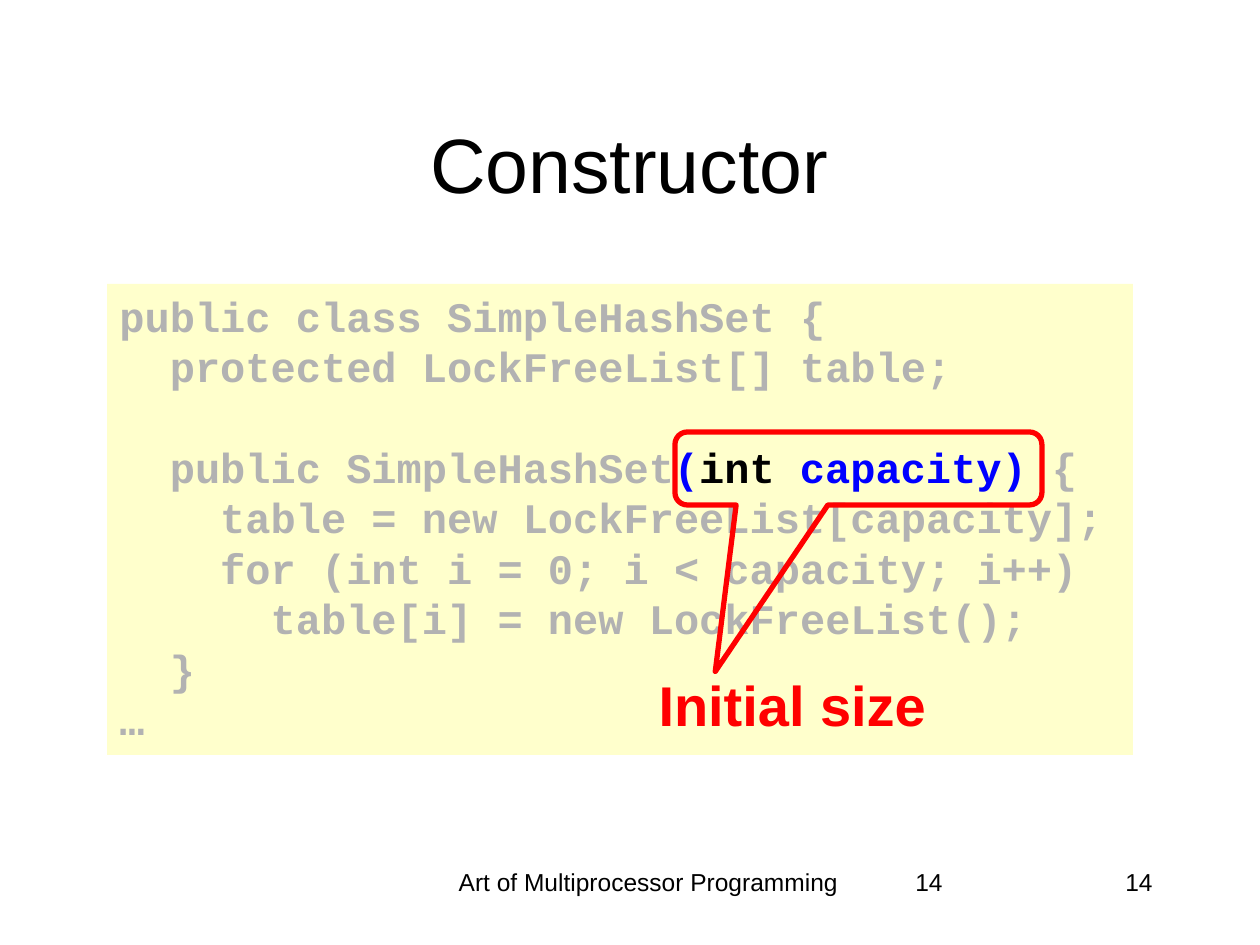
import pptx
import pptx.dml.color
import pptx.enum.shapes
import pptx.enum.text
import pptx.util

EMU_PER_PX = 914400 / 126
BLACK = pptx.dml.color.RGBColor(0x00, 0x00, 0x00)
GREY = pptx.dml.color.RGBColor(0xB2, 0xB2, 0xB2)
BLUE = pptx.dml.color.RGBColor(0x00, 0x00, 0xFF)
RED = pptx.dml.color.RGBColor(0xFF, 0x00, 0x00)
CREAM = pptx.dml.color.RGBColor(0xFF, 0xFF, 0xCC)
ALIGN = pptx.enum.text.PP_ALIGN
ANCHOR = pptx.enum.text.MSO_ANCHOR
SHAPE = pptx.enum.shapes.MSO_SHAPE


def px(*lengths):
    """Turn pixel lengths into a list of EMU lengths."""
    return [pptx.util.Emu(round(length * EMU_PER_PX)) for length in lengths]


def add_run(paragraph, text, size, color, font_name="Arial", bold=False):
    run = paragraph.add_run()
    run.text = text
    run.font.name = font_name
    run.font.size = pptx.util.Pt(size)
    run.font.bold = bold
    run.font.color.rgb = color


presentation = pptx.Presentation()
presentation.slide_width, presentation.slide_height = px(1260, 945)
slide = presentation.slides.add_slide(presentation.slide_layouts[6])

# Code panel
panel = slide.shapes.add_shape(SHAPE.RECTANGLE, *px(107, 284, 1026, 471))
panel.shadow.inherit = False
panel.fill.solid()
panel.fill.fore_color.rgb = CREAM
panel.line.fill.background()
panel.text_frame.word_wrap = True
panel.text_frame.vertical_anchor = ANCHOR.TOP

code_lines = [
    [("public class SimpleHashSet {", GREY)],
    [("  protected LockFreeList[] table;", GREY)],
    [("", GREY)],
    [("  public SimpleHashSet", GREY), ("(", BLUE), ("int", BLACK),
     (" capacity) ", BLUE), ("{", GREY)],
    [("    table = new LockFreeList[capacity];", GREY)],
    [("    for (int i = 0; i < capacity; i++)", GREY)],
    [("      table[i] = new LockFreeList();", GREY)],
    [("  }", GREY)],
    [("…", GREY)],
]
for index, code_line in enumerate(code_lines):
    frame = panel.text_frame
    paragraph = frame.add_paragraph() if index else frame.paragraphs[0]
    paragraph.alignment = ALIGN.LEFT
    for text, color in code_line:
        add_run(paragraph, text, 24, color, "Courier New", True)

# Callout around the constructor's parameter
callout = slide.shapes.add_shape(SHAPE.ROUNDED_RECTANGULAR_CALLOUT, *px(675, 432, 367, 73))
callout.shadow.inherit = False
callout.fill.background()
callout.line.color.rgb = RED
callout.line.width = pptx.util.Pt(3)
callout.adjustments[0] = -0.39
callout.adjustments[1] = 2.78
callout.adjustments[2] = 0.17

# Title, callout label and footer: text, box, size, colour, bold, alignment, anchor, wrap
captions = [
    ("Constructor", (94, 84, 1071, 158), 44, BLACK, False, ALIGN.CENTER, ANCHOR.MIDDLE, True),
    ("Initial size", (645, 664, 295, 81), 32, RED, True, ALIGN.CENTER, ANCHOR.TOP, False),
    ("Art of Multiprocessor Programming", (431, 861, 435, 63), 14, BLACK, False,
     ALIGN.CENTER, ANCHOR.TOP, True),
    ("14", (903, 861, 262, 63), 14, BLACK, False, ALIGN.LEFT, ANCHOR.TOP, True),
    ("14", (903, 861, 262, 63), 14, BLACK, False, ALIGN.RIGHT, ANCHOR.TOP, True),
]
for text, box, size, color, bold, alignment, anchor, wrap in captions:
    frame = slide.shapes.add_textbox(*px(*box)).text_frame
    frame.word_wrap = wrap
    frame.vertical_anchor = anchor
    frame.paragraphs[0].alignment = alignment
    add_run(frame.paragraphs[0], text, size, color, bold=bold)

presentation.save("out.pptx")
